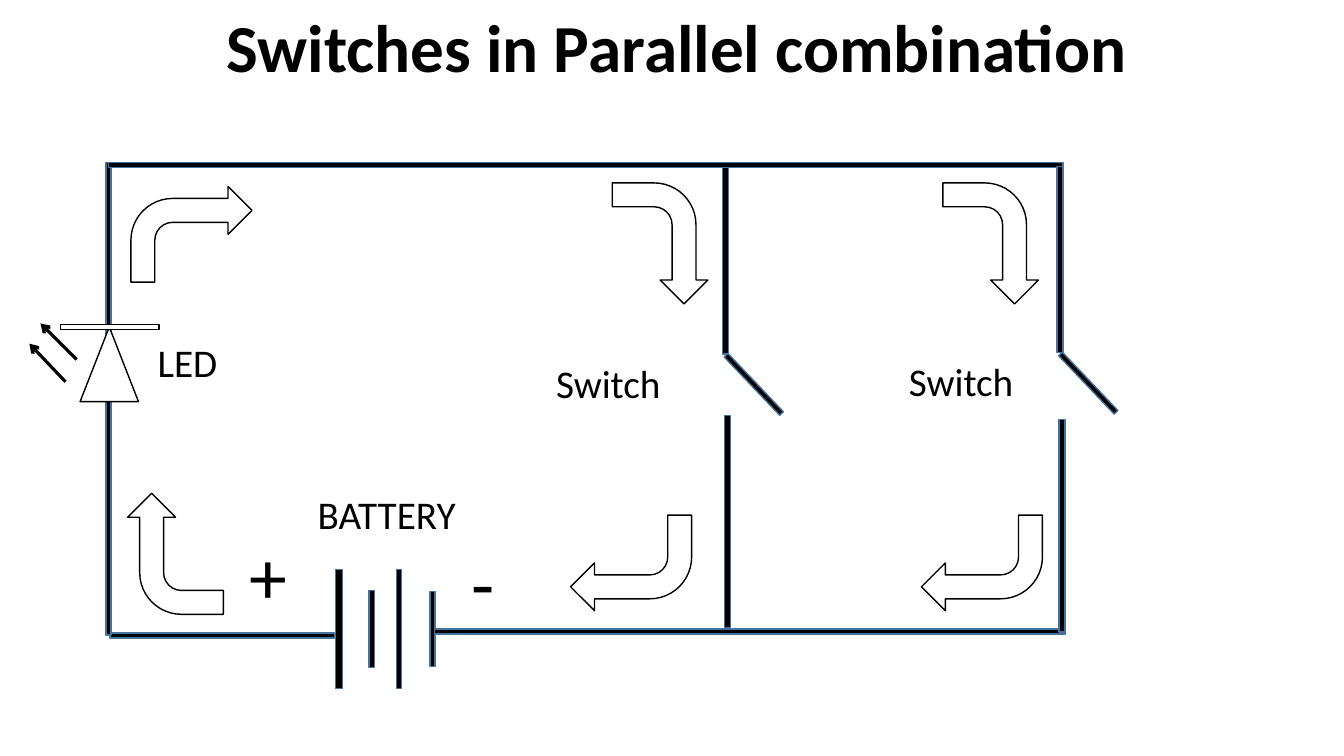
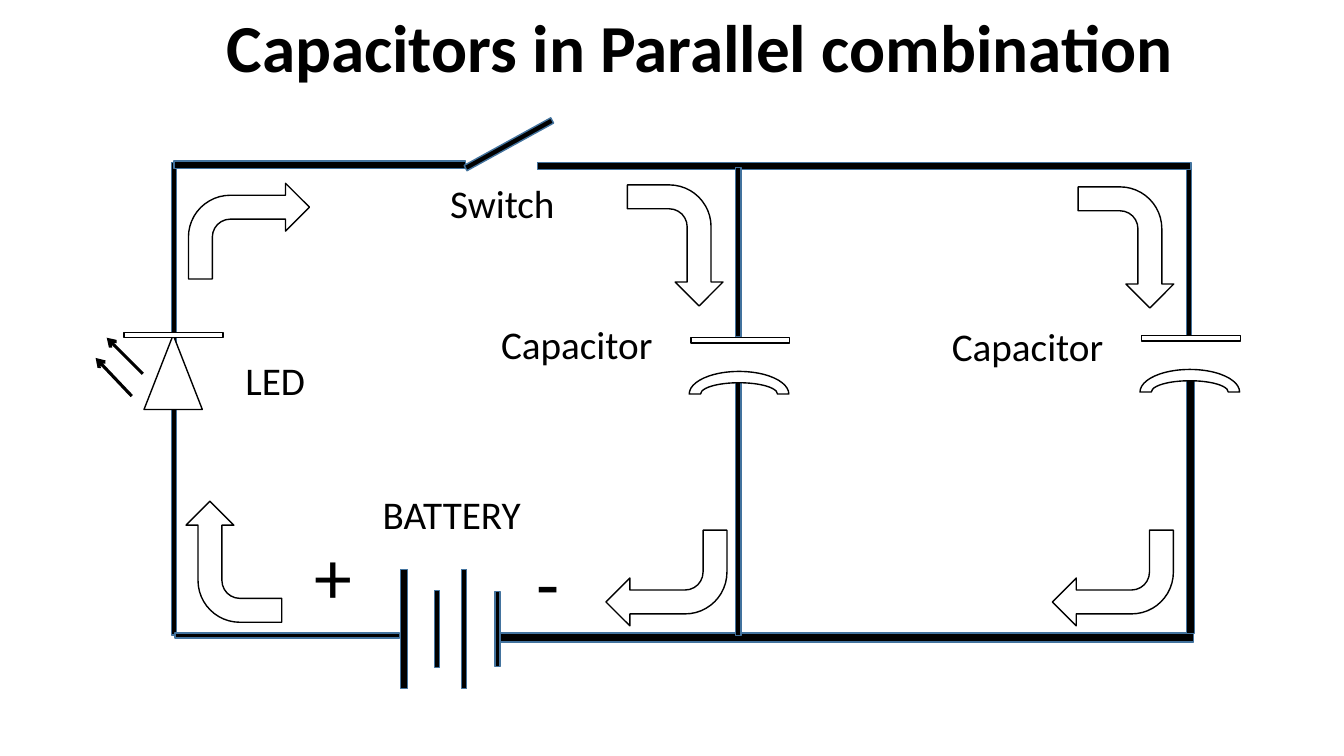
from lxml.etree import SubElement
from pptx import Presentation
from pptx.dml.color import RGBColor
from pptx.enum.shapes import MSO_CONNECTOR, MSO_SHAPE
from pptx.enum.text import PP_ALIGN
from pptx.oxml.ns import qn
from pptx.util import Cm, Pt

COLORS = {"ink": "000000", "paper": "FFFFFF", "edge": "43739E"}
FONT = "Calibri"
THIN = 0.13  # usual wire thickness in cm
SWITCH_WIDTH, CAPACITOR_WIDTH, LED_WIDTH = 3.18, 4.37, 2.03


def color(name):
    return RGBColor.from_string(COLORS[name])


# Basic parts, all lengths in cm
def add_part(slide, kind, box, fill="paper", edge="ink", rotation=0):
    part = slide.shapes.add_shape(kind, *map(Cm, box))
    part.shadow.inherit = False
    part.fill.solid()
    part.fill.fore_color.rgb = color(fill)
    part.line.color.rgb = color(edge)
    part.line.width = Pt(1)
    part.rotation = rotation


def add_wire(slide, box, rotation=0):
    add_part(slide, MSO_SHAPE.FLOWCHART_PROCESS, box, "ink", "edge", rotation)


def add_label(slide, text, box, size=28, bold=False, wrap=False,
              align=PP_ALIGN.CENTER):
    label = slide.shapes.add_textbox(*map(Cm, box))
    label.text_frame.word_wrap = wrap
    label.text_frame.text = text
    paragraph = label.text_frame.paragraphs[0]
    paragraph.alignment = align
    font = paragraph.runs[0].font
    font.name, font.size, font.bold = FONT, Pt(size), bold
    font.color.rgb = color("ink")


def add_title(slide, text, width):
    add_label(slide, text, (5.46, 0, width, 2.31), 48, True, True, PP_ALIGN.LEFT)


# Battery with its name, poles, cells and left lead
def add_battery(slide, left, top):
    add_label(slide, "BATTERY", (left + 1.68, top, 4.29, 1.45), wrap=True)
    for pole, dx, dy in (("+", 0, 0.99), ("-", 5.41, 1.17)):
        add_label(slide, pole, (left + dx, top + dy, 1.68, 2.57), 54, wrap=True)
    middle = top + 3.63
    for center, width, height in ((2.62, 0.18, 3), (3.45, THIN, 1.93),
                                  (4.14, THIN, 3), (4.98, THIN, 1.88)):
        add_part(slide, MSO_SHAPE.RECTANGLE,
                 (left + center - width / 2, middle - height / 2, width, height),
                 "ink", "edge")
    add_wire(slide, (left - 3.15, top + 3.73, 5.66, THIN))


# LED symbol
def add_led(slide, left, top):
    add_part(slide, MSO_SHAPE.ISOSCELES_TRIANGLE,
             (left + 0.5, top + 0.06, 1.47, 1.88))
    add_part(slide, MSO_SHAPE.FLOWCHART_PROCESS, (left, top, 2.49, THIN))


# Light leaving the LED
def add_rays(slide, left, top):
    for x1, y1, x2, y2 in ((1.19, 0.91, 0.28, 0), (0.91, 1.47, 0, 0.51)):
        ray = slide.shapes.add_connector(
            MSO_CONNECTOR.STRAIGHT, Cm(left + x1), Cm(top + y1),
            Cm(left + x2), Cm(top + y2))
        ray.line.color.rgb = color("ink")
        ray.line.width = Pt(2.25)
        SubElement(ray.line._get_or_add_ln(), qn("a:tailEnd"), type="arrow")
        SubElement(ray._element.spPr, qn("a:effectLst"))


# Branch with an open switch
def add_switch_branch(slide, left, top, lower_top, label_dx):
    add_wire(slide, (left, top, 0.15, 4.7))
    add_wire(slide, (left - 0.23, top + 5.4, 2.03, THIN), 46.4)
    add_wire(slide, (left + 0.05, top + lower_top, 0.15, 5.36))
    add_label(slide, "Switch",
              (left + label_dx, top + 4.7, SWITCH_WIDTH, 1.45))


# Branch with a capacitor
def add_capacitor_branch(slide, left, top, plate_top, lower_width):
    add_wire(slide, (left, top, THIN, 4.27))
    add_wire(slide, (left, top + plate_top + 1.07, lower_width, 6.43))
    add_part(slide, MSO_SHAPE.FLOWCHART_PROCESS,
             (left - 1.13, top + plate_top, 2.49, THIN))
    add_part(slide, MSO_SHAPE.BLOCK_ARC,
             (left - 1.17, top + plate_top + 0.85, 2.51, 1.14))
    add_label(slide, "Capacitor",
              (left - 6.19, top + 3.72, CAPACITOR_WIDTH, 1.45))


# Arrows that show the direction of the current
def add_current(slide, turns):
    for left, top, rotation in turns:
        add_part(slide, MSO_SHAPE.BENT_ARROW, (left, top, 3.05, 2.41),
                 rotation=rotation)


def build_switches(slide):
    add_title(slide, "Switches in Parallel combination", 23.7)
    add_battery(slide, 5.92, 12.22)
    for wire in ((10.95, 15.85, 15.9, THIN), (2.67, 4.09, THIN, 11.91),
                 (2.74, 4.09, 24.05, THIN)):
        add_wire(slide, wire)
    add_switch_branch(slide, 18.21, 4.22, 6.25, -4.47)
    add_switch_branch(slide, 26.64, 4.19, 6.38, -4.01)
    add_led(slide, 1.52, 8.18)
    add_rays(slide, 0.74, 8.15)
    add_label(slide, "LED", (3.71, 8.41, LED_WIDTH, 1.45))
    add_current(slide, ((3.3, 4.7, 0), (15.11, 4.93, 90), (23.44, 4.93, 90),
                        (14.38, 12.98, 180), (23.22, 12.98, 180),
                        (2.9, 12.75, 270)))


def build_capacitors(slide):
    add_title(slide, "Capacitors in Parallel combination", 25.32)
    for wire in ((12.6, 15.95, 17.48, 0.23), (4.32, 4.09, THIN, 11.91),
                 (13.54, 4.09, 16.48, 0.18), (4.39, 4.06, 7.34, 0.18)):
        add_wire(slide, wire)
    add_battery(slide, 7.56, 12.22)
    add_capacitor_branch(slide, 18.54, 4.22, 4.29, THIN)
    add_capacitor_branch(slide, 29.9, 4.27, 4.19, 0.2)
    add_led(slide, 3.13, 8.38)
    add_rays(slide, 2.41, 8.51)
    add_label(slide, "LED", (5.92, 8.86, LED_WIDTH, 1.45))
    # Open switch in the top wire
    add_wire(slide, (11.58, 3.56, 2.49, 0.15), 331.2)
    add_label(slide, "Switch", (11.07, 4.39, SWITCH_WIDTH, 1.45))
    add_current(slide, ((4.75, 4.62, 0), (15.49, 4.98, 90), (26.85, 5.03, 90),
                        (15.27, 13.36, 180), (26.52, 13.36, 180),
                        (4.37, 12.95, 270)))


deck = Presentation()
deck.slide_width, deck.slide_height = Cm(33.87), Cm(19.05)
for build in (build_switches, build_capacitors):
    build(deck.slides.add_slide(deck.slide_layouts[6]))
deck.save("out.pptx")
